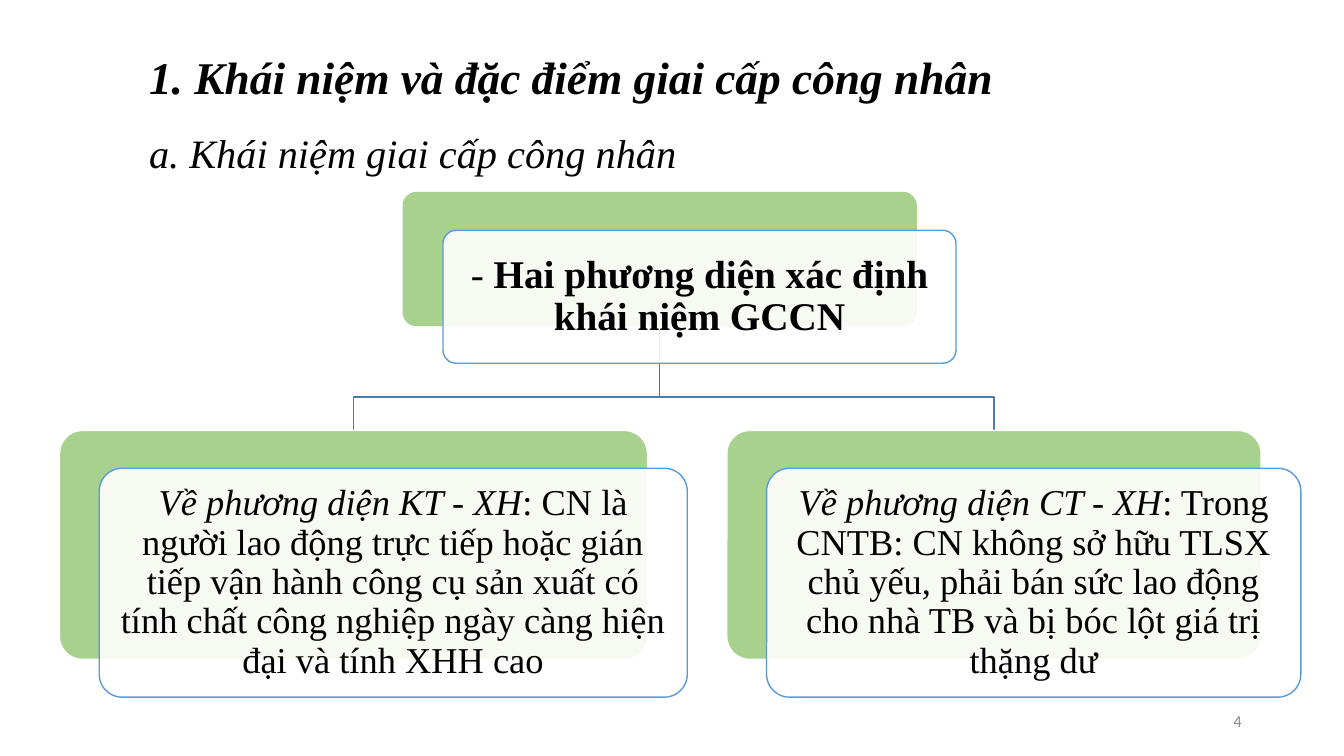
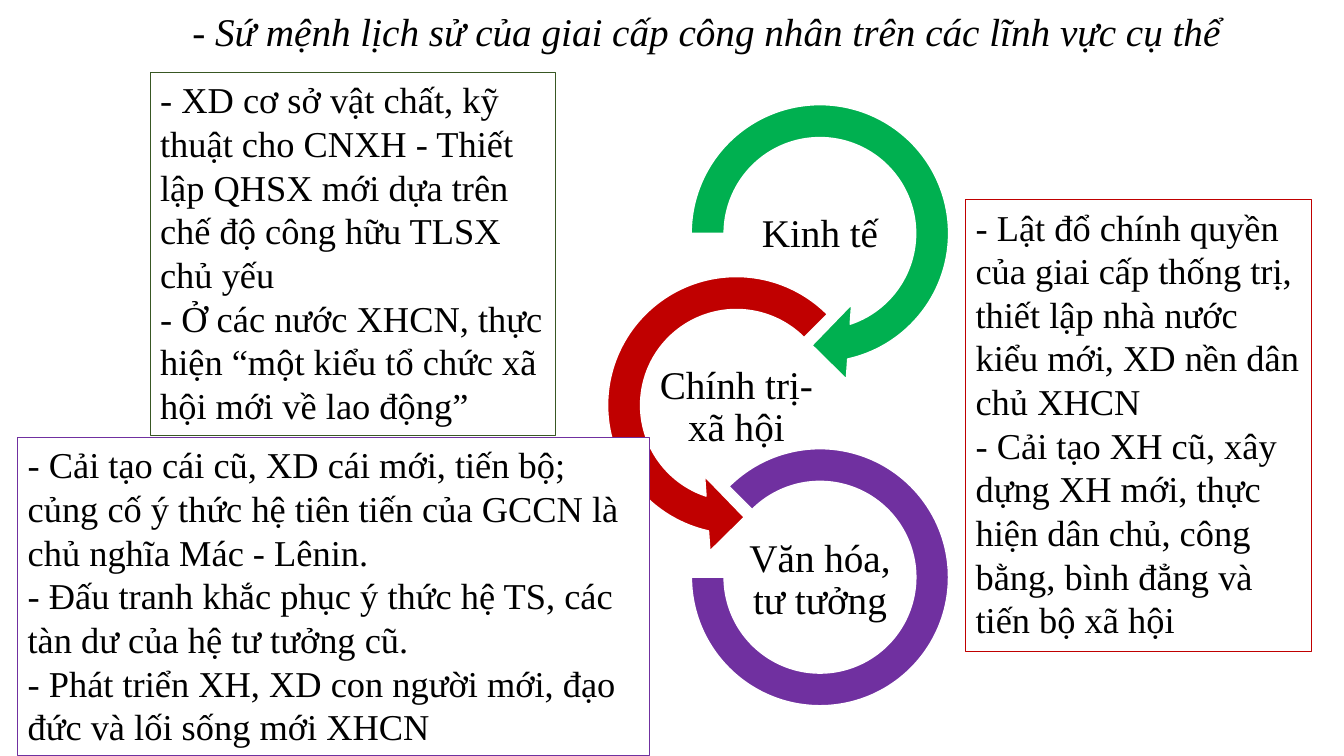
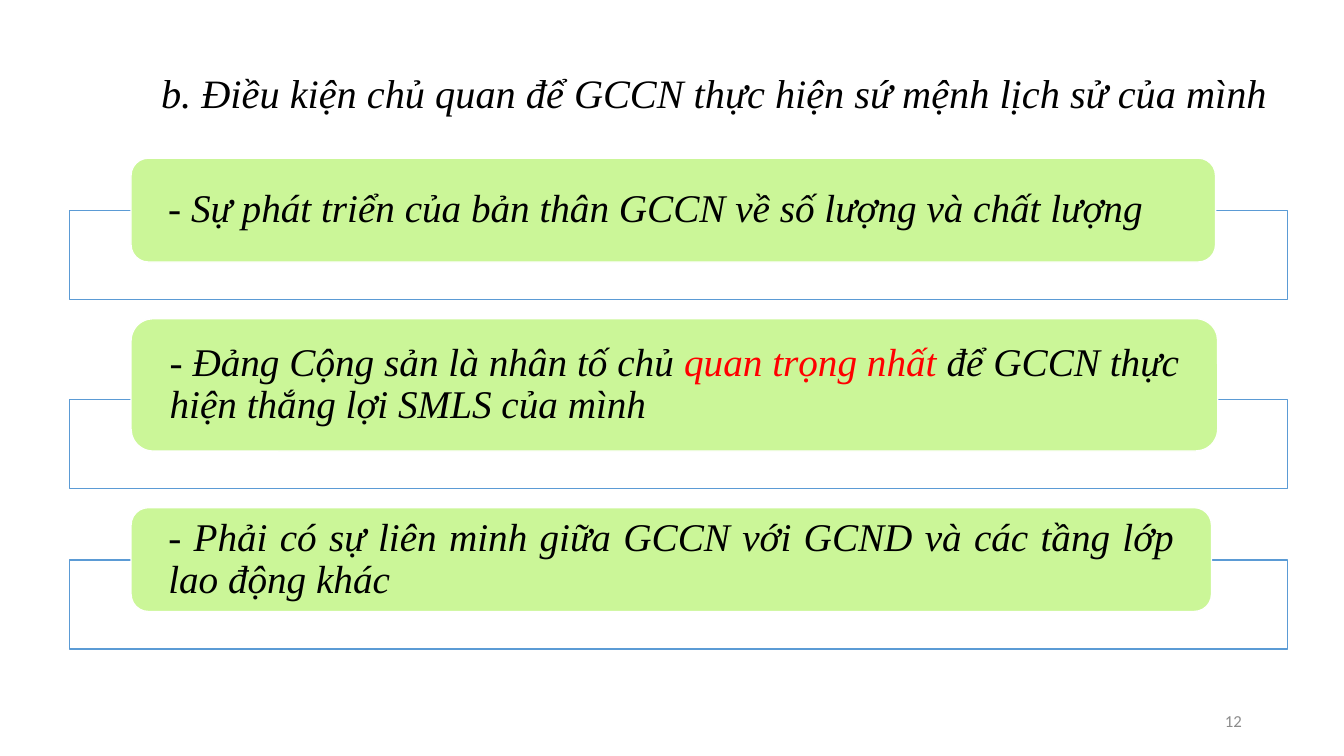
from dataclasses import dataclass
from lxml.etree import SubElement
from pptx import Presentation
from pptx.dml.color import RGBColor
from pptx.enum.shapes import MSO_SHAPE as Geo
from pptx.enum.text import MSO_ANCHOR as Anchor, PP_ALIGN as Align
from pptx.oxml.ns import qn
from pptx.util import Pt


@dataclass(frozen=True)
class Theme:
    serif: str = "Times New Roman"
    sans: str = "Calibri"
    ink: str = "000000"
    white: str = "FFFFFF"
    gray: str = "8C8C8C"
    red: str = "FF0000"
    blue: str = "5B9BD5"
    steel: str = "497CAB"
    leaf: str = "A9D18E"
    lime: str = "CBF698"
    green: str = "00B050"
    forest: str = "385723"
    crimson: str = "C00000"
    violet: str = "7030A0"
    head: float = 32.4
    sub: float = 28.8
    main: float = 28
    body: float = 26
    foot: float = 12


T = Theme()
BOLD = {"bold": True}
ITAL = {"italic": True}

# Slide 1: a text is a list of paragraphs, each a list of (words, format)
HEAD1 = [
    [("1. Khái niệm và đặc điểm giai cấp công nhân", {"size": T.head, **BOLD, **ITAL})],
    [("a. Khái niệm giai cấp công nhân", ITAL)],
]
ROOT = ((288, 137.5, 366.5, 95), T.leaf, T.main,
        [[("- ", {}), ("Hai phương diện xác định khái niệm GCCN", BOLD)]])
LEAVES = [
    ((42.5, 307.5, 420, 163.5), T.white, T.body,
     [[("Về phương diện KT - XH", ITAL),
       (": CN là người lao động trực tiếp hoặc gián tiếp vận hành công cụ "
        "sản xuất có tính chất công nghiệp ngày càng hiện đại và tính XHH cao", {})]]),
    ((519.2, 307.5, 381.6, 163.5), T.white, T.body,
     [[("Về phương diện CT - XH", ITAL),
       (": Trong CNTB: CN không sở hữu TLSX chủ yếu, phải bán sức lao động "
        "cho nhà TB và bị bóc lột giá trị thặng dư", {})]]),
]
SHIFT = (28.4, 27)
FORK_Y = 283.7

# Slide 2
HEAD2 = [[("- Sứ mệnh lịch sử của giai cấp công nhân trên các lĩnh vực cụ thể", ITAL)]]
RINGS = [  # label, outline, centre x, size, adjustments, colour
    ("Kinh tế", Geo.CIRCULAR_ARROW, 585.7, 213.8,
     (0.11, 11.42, 45, 108, 0.125), T.green),
    ("Chính trị- xã hội", Geo.LEFT_CIRCULAR_ARROW, 526, 213.8,
     (0.11, 11.42, 63, 189, 0.125), T.crimson),
    ("Văn hóa, tư tưởng", Geo.BLOCK_ARC, 585.7, 183.6,
     (135, 108, 0.127), T.violet),
]
RING_Y, RING_STEP = 166.7, 122.8
LABEL_Y, LABEL_STEP = 167.4, 123.8
LABEL_W, LABEL_H = 118.8, 59.8
NOTES = [
    ((107.3, 51.8, 289.4, 259.2), T.forest, [
        "- XD cơ sở vật chất, kỹ thuật cho CNXH - Thiết lập QHSX mới dựa trên "
        "chế độ công hữu TLSX chủ yếu",
        "- Ở các nước XHCN, thực hiện “một kiểu tổ chức xã hội mới về lao động”"]),
    ((689.8, 142.6, 247, 322.6), T.crimson, [
        "- Lật đổ chính quyền của giai cấp thống trị, thiết lập nhà nước kiểu mới, "
        "XD nền dân chủ XHCN",
        "- Cải tạo XH cũ, xây dựng XH mới, thực hiện dân chủ, công bằng, "
        "bình đẳng và tiến bộ xã hội"]),
    ((12.7, 312.5, 451.4, 227.5), T.violet, [
        "- Cải tạo cái cũ, XD cái mới, tiến bộ; củng cố ý thức hệ tiên tiến của "
        "GCCN là chủ nghĩa Mác - Lênin.",
        "- Đấu tranh khắc phục ý thức hệ TS, các tàn dư của hệ tư tưởng cũ.",
        "- Phát triển XH, XD con người mới, đạo đức và lối sống mới XHCN"]),
]

# Slide 3
HEAD3 = [[("b. Điều kiện chủ quan để GCCN thực hiện sứ mệnh lịch sử của mình", ITAL)]]
ROWS = [  # width, height, alignment, runs
    (774.7, 74.2, Align.LEFT,
     [("- Sự phát triển của bản thân GCCN về số lượng và chất lượng", ITAL)]),
    (776.2, 94.6, Align.JUSTIFY,
     [("- Đảng Cộng sản là nhân tố chủ ", ITAL),
      ("quan trọng nhất ", {**ITAL, "color": T.red}),
      ("để GCCN thực hiện thắng lợi SMLS của mình", ITAL)]),
    (771.8, 74.2, Align.JUSTIFY,
     [("- Phải có sự liên minh giữa GCCN với GCND và các tầng lớp lao động khác", ITAL)]),
]
ROW_X, ROW_Y, ROW_GAP = 93.6, 113, 13.7
FRAME_X, FRAME_W, FRAME_H, LAP = 49.7, 869.8, 63.4, 36.7


def pts(vals):
    return [Pt(v) for v in vals]


def write(shape, paras, size, align=Align.LEFT, anchor=Anchor.MIDDLE,
          inset=(7.2, 3.6, 7.2, 3.6), lead=1, gap=0, font=T.serif, color=T.ink):
    """Fill a shape with paragraphs; inset is left, top, right, bottom."""
    frame = shape.text_frame
    left, top, right, low = pts(inset)
    form = {"word_wrap": True, "vertical_anchor": anchor, "margin_left": left,
            "margin_top": top, "margin_right": right, "margin_bottom": low}
    for key, val in form.items():
        setattr(frame, key, val)
    for i, runs in enumerate(paras):
        para = frame.add_paragraph() if i else frame.paragraphs[0]
        para.alignment, para.line_spacing = align, lead
        if i:
            para.space_before = Pt(gap)
        for words, extra in runs:
            run = para.add_run()
            run.text = words
            look = {"name": font, "size": size, "color": color, **extra}
            run.font.color.rgb = RGBColor.from_string(look.pop("color"))
            look["size"] = Pt(look["size"])
            for key, val in look.items():
                setattr(run.font, key, val)


def text(slide, box, paras, size, **form):
    write(slide.shapes.add_textbox(*pts(box)), paras, size, **form)


def stroke(shape, color, width=1):
    shape.shadow.inherit = False
    shape.line.color.rgb = RGBColor.from_string(color)
    shape.line.width = Pt(width)


def draw(slide, geo, box, fill, line, width=1, adj=(), alpha=None):
    shape = slide.shapes.add_shape(geo, *pts(box))
    for i, val in enumerate(adj):
        shape.adjustments[i] = val
    shape.fill.solid()
    shape.fill.fore_color.rgb = RGBColor.from_string(fill)
    if alpha:
        tint = shape.fill._xPr.find(qn("a:solidFill"))[0]
        SubElement(tint, qn("a:alpha")).set("val", str(alpha * 1000))
    stroke(shape, line, width)
    return shape


def title(slide, box, paras, drop, size=T.sub, **form):
    text(slide, box, paras, size, anchor=Anchor.TOP,
         inset=(7.2, drop, 7.2, 3.6), **form)


def number(slide, num):
    text(slide, (678.2, 500.4, 216, 28.8), [[(num, {})]], T.foot,
         align=Align.RIGHT, font=T.sans, color=T.gray)


def branch(slide, start, end):
    """Draw a line from a parent's foot to a child's top."""
    (x, y), (x2, y2) = start, end
    pen = slide.shapes.build_freeform(Pt(x), Pt(y))
    pen.add_line_segments([pts(p) for p in ((x, FORK_Y), (x2, FORK_Y), (x2, y2))],
                          close=False)
    path = pen.convert_to_shape()
    path.fill.background()
    stroke(path, T.steel)


def card(slide, box, edge, size, paras):
    """Draw a green plate with a see-through text panel shifted over it."""
    x, y, w, h = box
    draw(slide, Geo.ROUNDED_RECTANGLE, box, T.leaf, edge, adj=(0.1,))
    panel = draw(slide, Geo.ROUNDED_RECTANGLE, (x + SHIFT[0], y + SHIFT[1], w, h),
                 T.white, T.blue, adj=(0.1,), alpha=90)
    write(panel, paras, size, align=Align.CENTER, inset=(8,) * 4, lead=0.9)


def concept(slide):
    title(slide, (99.4, 9.4, 696.2, 104.4), HEAD1, 26, gap=17)
    x, y, w, h = ROOT[0]
    for (cx, cy, cw, _), *_ in LEAVES:
        branch(slide, (x + w / 2, y + h), (cx + cw / 2, cy))
    for item in [ROOT, *LEAVES]:
        card(slide, *item)
    number(slide, "4")


def mission(slide):
    title(slide, (130.3, 0.7, 769.7, 46), HEAD2, 4.8, T.main)
    for i, (label, geo, mid, size, adj, color) in enumerate(RINGS):
        cy = RING_Y + i * RING_STEP
        draw(slide, geo, (mid - size / 2, cy - size / 2, size, size),
             color, T.white, adj=adj)
        ly = LABEL_Y + i * LABEL_STEP
        text(slide, (mid - LABEL_W / 2, ly - LABEL_H / 2, LABEL_W, LABEL_H),
             [[(label, {})]], T.main, align=Align.CENTER, inset=(1.4,) * 4, lead=0.9)
    for box, color, lines in NOTES:
        note = draw(slide, Geo.RECTANGLE, box, T.white, color, 0.75)
        write(note, [[(line, {})] for line in lines], T.body, anchor=Anchor.TOP)


def factors(slide):
    title(slide, (95.8, 42.5, 828.7, 64), HEAD3, 5.9, align=Align.CENTER)
    y = ROW_Y
    for w, h, align, runs in ROWS:
        top = y + h - LAP
        draw(slide, Geo.RECTANGLE, (FRAME_X, top, FRAME_W, FRAME_H),
             T.white, T.blue, alpha=90)
        pill = draw(slide, Geo.ROUNDED_RECTANGLE, (ROW_X, y, w, h), T.lime, T.white)
        write(pill, [runs], T.main, align=align, inset=(23, 0, 23, 0), lead=0.9)
        y = top + FRAME_H + ROW_GAP
    number(slide, "12")


def main():
    deck = Presentation()
    deck.slide_width, deck.slide_height = Pt(960), Pt(540)
    for build in (concept, mission, factors):
        build(deck.slides.add_slide(deck.slide_layouts[6]))
    deck.save("out.pptx")


if __name__ == "__main__":
    main()
